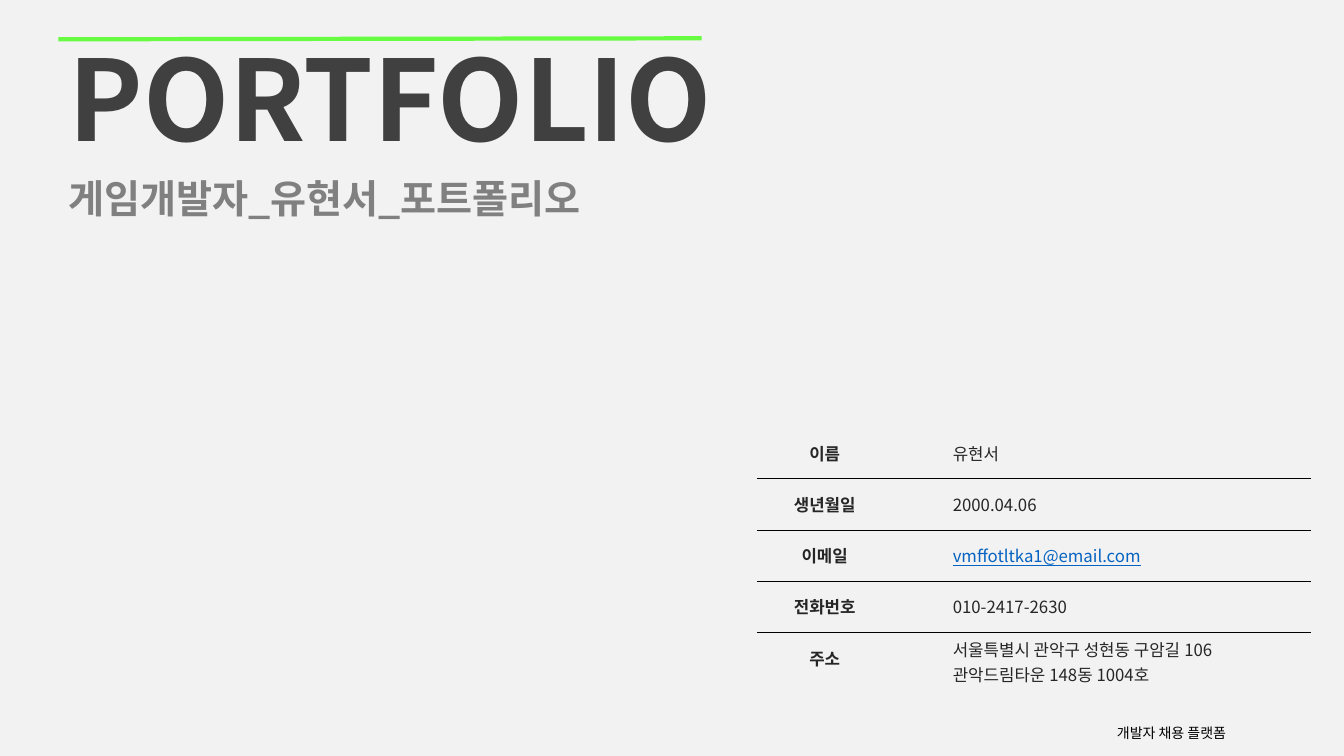
import pptx
import pptx.dml.color
import pptx.enum.shapes
import pptx.enum.text
import pptx.oxml
import pptx.oxml.ns
import pptx.util
from lxml import etree

Inches, Pt = pptx.util.Inches, pptx.util.Pt
ANCHOR, ALIGN = pptx.enum.text.MSO_ANCHOR, pptx.enum.text.PP_ALIGN
qn = pptx.oxml.ns.qn

FONT = "Noto Sans CJK KR"
COLORS = {
    "background": "F2F2F2",
    "accent": "67FB42",
    "title": "404040",
    "subtitle": "808080",
    "body": "262626",
    "email": "0563C1",
    "rule": "000000",
}
PROFILE = [
    ("이름", "유현서"),
    ("생년월일", "2000.04.06"),
    ("이메일", "vmffotltka1@email.com"),
    ("전화번호", "010-2417-2630"),
    ("주소", "서울특별시 관악구 성현동 구암길 106 관악드림타운 148동 1004호"),
]


def rgb(name):
    return pptx.dml.color.RGBColor.from_string(COLORS[name])


def write(frame, text, size, color, align=ALIGN.LEFT, spacing=1.0, **font_format):
    """Put one formatted paragraph into a text frame."""
    paragraph = frame.paragraphs[0]
    paragraph.alignment, paragraph.line_spacing = align, spacing
    run = paragraph.add_run()
    run.text = text
    values = {"name": FONT, "size": Pt(size), "bold": False, **font_format}
    for attribute, value in values.items():
        setattr(run.font, attribute, value)
    run.font.color.rgb = rgb(color)
    east_asian = etree.Element(qn("a:ea"), typeface=FONT)
    run.font._element.find(qn("a:latin")).addnext(east_asian)


def add_label(slide, box, text, size, color, **text_format):
    frame = slide.shapes.add_textbox(*map(Inches, box)).text_frame
    frame.word_wrap = True
    write(frame, text, size, color, **text_format)


def add_heading(slide, left, top):
    title = slide.shapes.title
    title.left, title.top = Inches(left), Inches(top)
    title.width, title.height = Inches(8.72), Inches(1.45)
    frame_format = {
        "auto_size": pptx.enum.text.MSO_AUTO_SIZE.NONE,
        "vertical_anchor": ANCHOR.MIDDLE,
        "margin_top": 0,
        "margin_bottom": Inches(0.12),
    }
    for attribute, value in frame_format.items():
        setattr(title.text_frame, attribute, value)
    write(title.text_frame, "PORTFOLIO", 80, "title", bold=True)

    accent = slide.shapes.add_connector(
        pptx.enum.shapes.MSO_CONNECTOR.STRAIGHT,
        Inches(left), Inches(top + 0.1), Inches(left + 6.38), Inches(top + 0.09))
    accent.line.color.rgb = rgb("accent")
    accent.line.width = Pt(3)
    etree.SubElement(accent._element.spPr, qn("a:effectLst"))

    add_label(slide, (left, top + 1.44, 12.22, 0.84), "게임개발자_유현서_포트폴리오",
              28, "subtitle", spacing=0.9, bold=True)


def set_borders(cell, above, below):
    """Draw thin rules above and below where asked, and no other border."""
    properties = cell._tc.get_or_add_tcPr()
    sides = {"L": False, "R": False, "T": above, "B": below}
    for position, (side, visible) in enumerate(sides.items()):
        line = etree.Element(qn(f"a:ln{side}"), w=str(Pt(0.25)))
        if visible:
            fill = etree.SubElement(line, qn("a:solidFill"))
            etree.SubElement(fill, qn("a:srgbClr"), val=COLORS["rule"])
        else:
            etree.SubElement(line, qn("a:noFill"))
        properties.insert(position, line)


def add_profile(slide, left, top, width, height):
    label_width = 1.34
    table = slide.shapes.add_table(
        len(PROFILE), 2, *map(Inches, (left, top, width, height))).table
    table.first_row = table.horz_banding = False
    table.columns[0].width = Inches(label_width)
    table.columns[1].width = Inches(width - label_width)
    for row, entry in enumerate(PROFILE):
        for column, text in enumerate(entry):
            cell = table.cell(row, column)
            cell.vertical_anchor = ANCHOR.MIDDLE
            cell.fill.background()
            set_borders(cell, row > 0, row < len(PROFILE) - 1)
            if column == 0:
                write(cell.text_frame, text, 12, "body", align=ALIGN.CENTER, bold=True)
            else:
                cell.margin_left = Inches(0.6)
                is_email = "@" in text
                write(cell.text_frame, text, 12, "email" if is_email else "body",
                      underline=is_email)


def build_cover(deck):
    slide = deck.slides.add_slide(deck.slide_layouts[5])
    slide.background.fill.solid()
    slide.background.fill.fore_color.rgb = rgb("background")
    add_label(slide, (10.98, 7.14, 1.62, 0.28), "개발자 채용 플랫폼", 10, "rule")
    add_heading(slide, 0.58, 0.29)
    add_profile(slide, 7.51, 4.24, 5.49, 2.54)


def main():
    deck = pptx.Presentation()
    deck.slide_width, deck.slide_height = Inches(13.33), Inches(7.5)
    build_cover(deck)
    deck.save("out.pptx")


if __name__ == "__main__":
    main()
